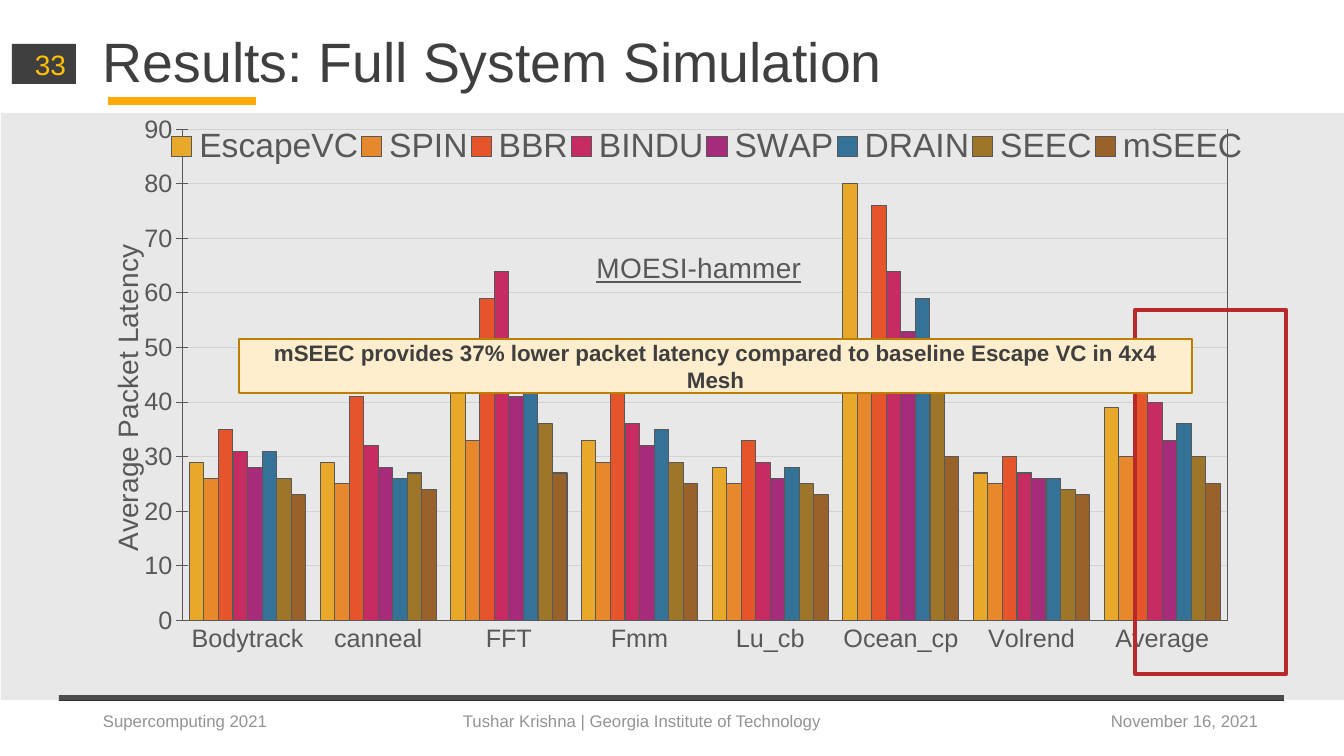
from dataclasses import dataclass

from lxml import etree
from pptx import Presentation
from pptx import util as u
from pptx.chart.data import CategoryChartData
from pptx.dml.color import RGBColor
from pptx.enum import chart as charts, shapes, text
from pptx.oxml import parse_xml
from pptx.oxml.ns import nsdecls, qn


@dataclass(frozen=True)
class Theme:
    font: str = "Arial"
    ink: str = "3F3F3F"
    rule: str = "2F2F2F"
    muted: str = "939393"
    accent: str = "FFAB03"
    number: str = "FFC000"
    grid: str = "E2E2E2"
    alarm: str = "C00000"
    veil: str = "A6A6A6"
    note: str = "FFEECD"
    note_edge: str = "BD7F02"
    heading_size: float = 39.6
    legend_size: int = 24
    label_size: int = 20
    axis_size: int = 18
    note_size: int = 16
    footer_size: int = 12


THEME = Theme()
BENCHMARKS = ["Bodytrack", "canneal", "FFT", "Fmm", "Lu_cb", "Ocean_cp", "Volrend", "Average"]
LATENCIES = {  # scheme: (colour, packet latency per benchmark)
    "EscapeVC": ("FFAB03", [29, 29, 44, 33, 28, 80, 27, 39]),
    "SPIN": ("FC7F03", [26, 25, 33, 29, 25, 47, 25, 30]),
    "BBR": ("FC3903", [35, 41, 59, 44, 33, 76, 30, 46]),
    "BINDU": ("D1024E", [31, 32, 64, 36, 29, 64, 27, 40]),
    "SWAP": ("A6026C", [28, 28, 41, 32, 26, 53, 26, 33]),
    "DRAIN": ("0F6193", [31, 26, 46, 35, 28, 59, 26, 36]),
    "SEEC": ("9B6700", [26, 27, 36, 29, 25, 42, 24, 30]),
    "mSEEC": ("974C02", [23, 24, 27, 25, 23, 30, 23, 25]),
}


def px(length):
    return u.Emu(round(length * 914400 / 100.8))


class SlideBuilder:
    def __init__(self, page, theme):
        self.page = page
        self.theme = theme

    def style_font(self, font, size, color, bold=False):
        font.name = self.theme.font
        font.size = u.Pt(size)
        font.bold = bold
        font.color.rgb = RGBColor.from_string(color)

    def style_line(self, line, color, width=0.75):
        line.color.rgb = RGBColor.from_string(color)
        line.width = u.Pt(width)

    def set_text(self, box, words, size, color, align="LEFT", bold=False, spacing=None, tab=None):
        frame = box.text_frame
        frame.word_wrap = True
        frame.vertical_anchor = text.MSO_ANCHOR.MIDDLE
        para = frame.paragraphs[0]
        para.text = words
        para.alignment = text.PP_ALIGN[align]
        if spacing:
            para.line_spacing = spacing
        if tab:
            stops = etree.SubElement(para._p.get_or_add_pPr(), qn("a:tabLst"))
            etree.SubElement(stops, qn("a:tab"), pos=str(px(tab)), algn="l")
        self.style_font(para.font, size, color, bold)

    def label(self, area, words, size, color, **options):
        box = self.page.shapes.add_textbox(*map(px, area))
        self.set_text(box, words, size, color, **options)

    def block(self, area, fill=None, edge=None, width=1, alpha=None):
        box = self.page.shapes.add_shape(shapes.MSO_SHAPE.RECTANGLE, *map(px, area))
        box.shadow.inherit = False
        if fill:
            box.fill.solid()
            box.fill.fore_color.rgb = RGBColor.from_string(fill)
        else:
            box.fill.background()
        if alpha:
            color = box._element.spPr.find(".//" + qn("a:srgbClr"))
            etree.SubElement(color, qn("a:alpha"), val=str(alpha * 1000))
        if edge:
            self.style_line(box.line, edge, width)
        else:
            box.line.fill.background()
        return box

    def line(self, start, end, color, width):
        rule = self.page.shapes.add_connector(
            shapes.MSO_CONNECTOR.STRAIGHT, *map(px, start + end))
        self.style_line(rule.line, color, width)
        etree.SubElement(rule._element.spPr, qn("a:effectLst"))

    def place(self, element, after, **fractions):
        """Fix a chart part at fractions of the chart area."""
        old = element.find(qn("c:layout"))
        if old is not None:
            element.remove(old)
        target = '<c:layoutTarget val="inner"/>' if after is None else ""
        modes = '<c:xMode val="edge"/><c:yMode val="edge"/>'
        sizes = "".join(f'<c:{key} val="{value}"/>' for key, value in fractions.items())
        layout = parse_xml(f'<c:layout {nsdecls("c")}><c:manualLayout>{target}{modes}{sizes}'
                           '</c:manualLayout></c:layout>')
        if after is None:
            element.insert(0, layout)
        else:
            element.find(qn(after)).addnext(layout)

    def chart_label(self, title, words, x, y, underline=False):
        para = title.text_frame.paragraphs[0]
        para.text = words
        self.style_font(para.font, self.theme.label_size, self.theme.ink)
        para.font.underline = underline
        self.place(title._element, "c:tx", x=x, y=y)

    def column_chart(self, area, categories, columns, heading, axis_name):
        theme = self.theme
        data = CategoryChartData()
        data.categories = categories
        for name, (_, values) in columns.items():
            data.add_series(name, values)
        chart = self.page.shapes.add_chart(
            charts.XL_CHART_TYPE.COLUMN_CLUSTERED, *map(px, area), data).chart
        self.style_font(chart.font, 10, theme.ink)

        # Columns
        plot = chart.plots[0]
        plot.gap_width, plot.overlap = 100, -1
        plot.vary_by_categories = False
        for series, (color, _) in zip(plot.series, columns.values()):
            series.format.fill.solid()
            series.format.fill.fore_color.rgb = RGBColor.from_string(color)
            self.style_line(series.format.line, theme.ink)
        self.place(chart._chartSpace.chart.plotArea, None, x=0.077, y=0.025, w=0.902, h=0.868)

        # Axes
        for axis in (chart.category_axis, chart.value_axis):
            self.style_font(axis.tick_labels.font, theme.axis_size, theme.ink)
            self.style_line(axis.format.line, theme.ink)
        chart.category_axis.major_tick_mark = charts.XL_TICK_MARK.NONE
        scale = chart.value_axis
        scale.major_tick_mark = charts.XL_TICK_MARK.CROSS
        scale.minimum_scale, scale.maximum_scale, scale.major_unit = 0, 90, 10
        self.style_line(scale.major_gridlines.format.line, theme.grid)

        # Titles and legend
        self.chart_label(chart.chart_title, heading, 0.43, 0.23, underline=True)
        self.chart_label(scale.axis_title, axis_name, 0.01, 0.22)
        turned = scale.axis_title.text_frame._txBody.bodyPr
        turned.set("rot", "-5400000")
        turned.set("vert", "horz")
        chart.has_legend = True
        legend = chart.legend
        legend.position = charts.XL_LEGEND_POSITION.BOTTOM
        legend.include_in_layout = False
        self.style_font(legend.font, theme.legend_size, theme.ink)
        self.place(legend._element, "c:legendPos", x=0.065, y=0.02, w=0.93, h=0.07)


def main():
    deck = Presentation()
    deck.slide_width, deck.slide_height = px(1344), px(756)
    slide = SlideBuilder(deck.slides.add_slide(deck.slide_layouts[6]), THEME)

    # Heading, page number and rules
    slide.line((108, 101), (256, 101), THEME.accent, 6.25)
    slide.block((59, 695, 1225, 6), THEME.rule)
    slide.label((93, 28, 1159, 73), "Results: Full System Simulation",
                THEME.heading_size, THEME.ink, spacing=0.9)
    badge = slide.block((12, 44, 64, 40), THEME.ink)
    slide.set_text(badge, "33", THEME.label_size, THEME.number, align="RIGHT")

    # Latency chart with its right-hand border
    slide.column_chart((93, 115, 1159, 566), BENCHMARKS, LATENCIES,
                       "MOESI-hammer", "Average Packet Latency")
    slide.line((1228, 129), (1228, 620), THEME.ink, 0.75)

    # Highlight, veil and finding
    slide.block((1135, 310, 151, 364), edge=THEME.alarm, width=3)
    slide.block((1, 113, 1343, 587), THEME.veil, alpha=25)
    finding = slide.block((239, 339, 953, 54), THEME.note, THEME.note_edge)
    slide.set_text(finding, "mSEEC provides 37% lower packet latency compared to baseline "
                   "Escape VC in 4x4 Mesh", THEME.note_size, THEME.ink, align="CENTER", bold=True)

    # Footer
    slide.label((93, 701, 824, 40),
                "Supercomputing 2021\tTushar Krishna | Georgia Institute of Technology",
                THEME.footer_size, THEME.muted, tab=360)
    slide.label((1101, 701, 230, 40), "November 16, 2021", THEME.footer_size, THEME.muted)

    deck.save("out.pptx")


if __name__ == "__main__":
    main()
